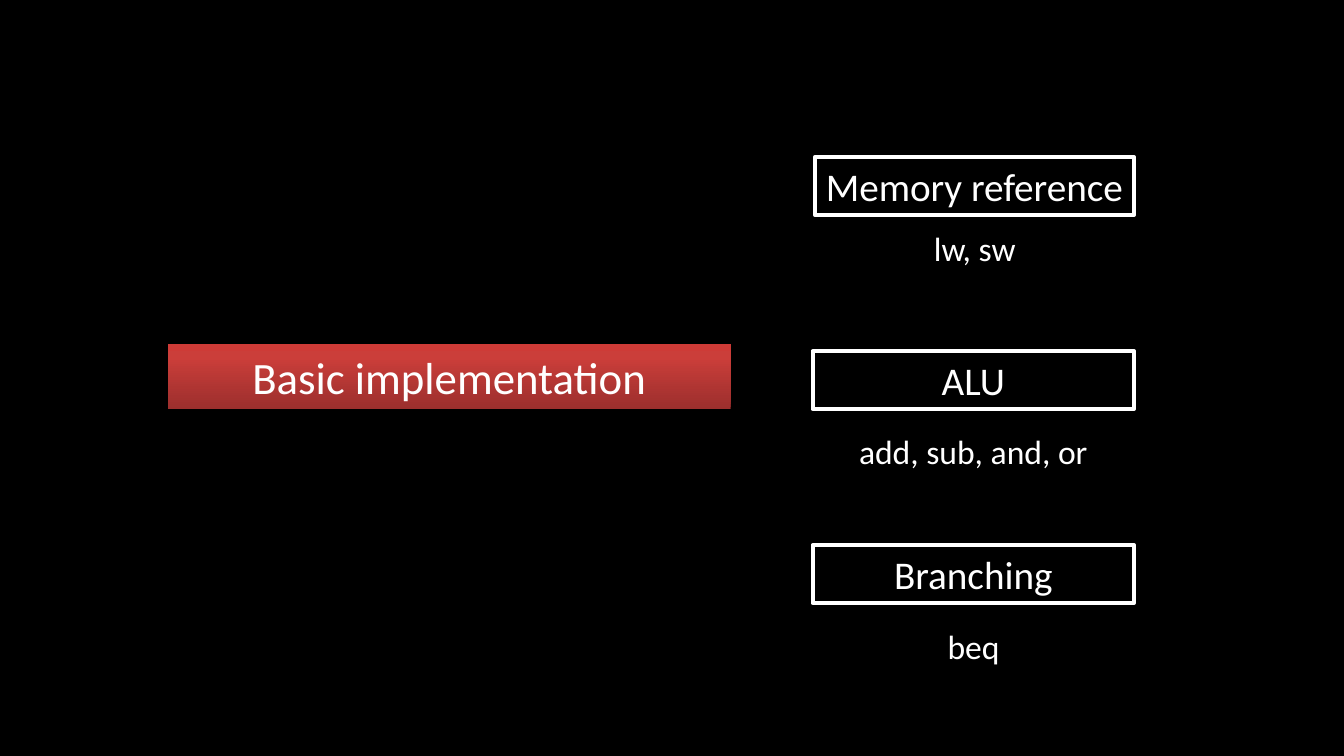
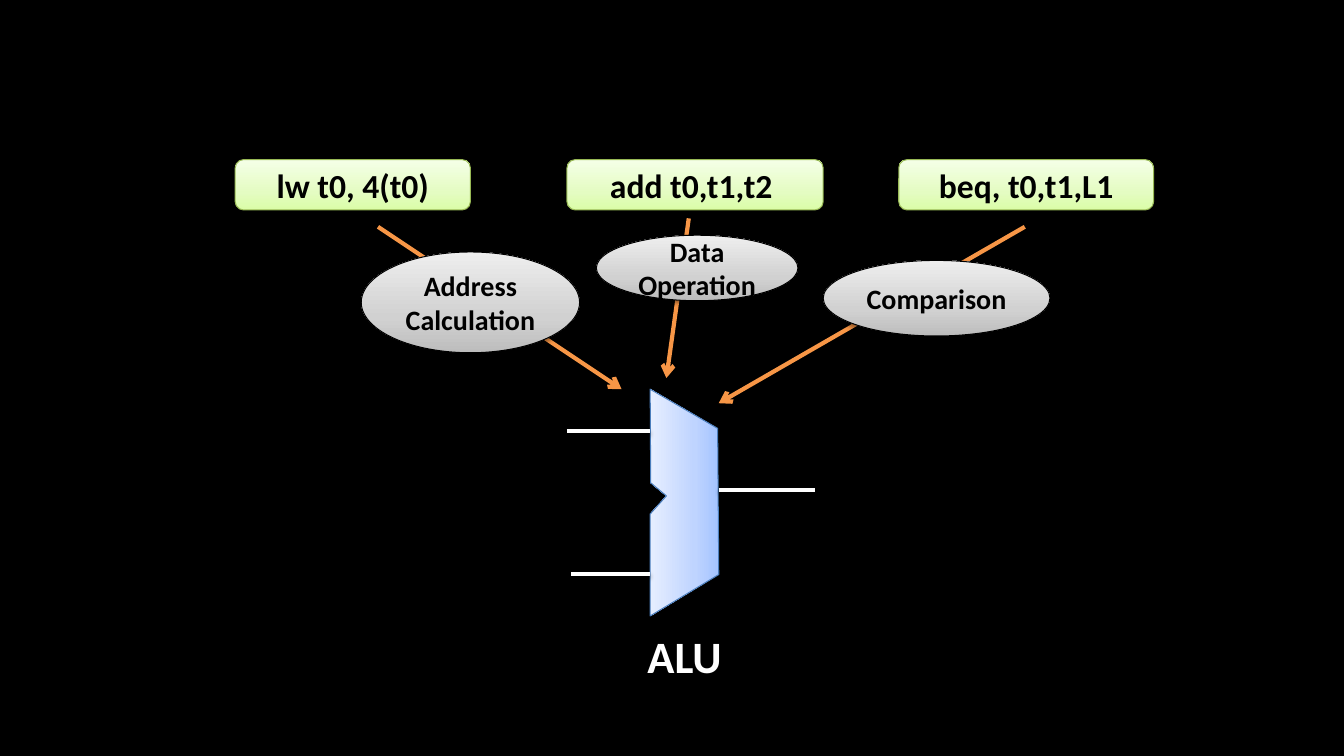
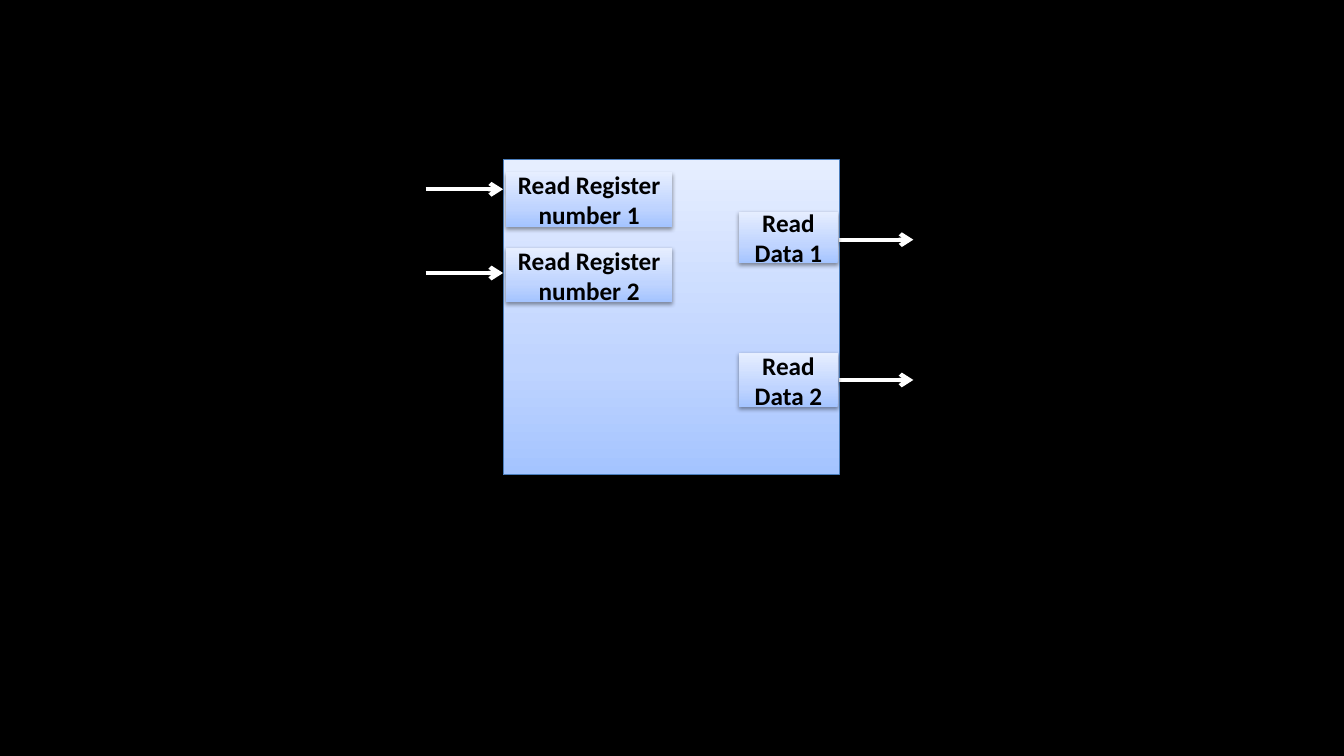
from dataclasses import dataclass, field

from lxml import etree
from pptx import Presentation
from pptx.dml.color import RGBColor
from pptx.enum.shapes import MSO_CONNECTOR, MSO_SHAPE
from pptx.enum.text import MSO_ANCHOR, MSO_AUTO_SIZE, PP_ALIGN
from pptx.oxml.ns import qn
from pptx.shapes.base import BaseShape
from pptx.slide import Slide
from pptx.util import Pt

RECT = MSO_SHAPE.RECTANGLE
ROUND = MSO_SHAPE.ROUNDED_RECTANGLE
OVAL = MSO_SHAPE.OVAL
STRAIGHT = MSO_CONNECTOR.STRAIGHT
TOP, MIDDLE = MSO_ANCHOR.TOP, MSO_ANCHOR.MIDDLE
GROW, FIXED = MSO_AUTO_SIZE.SHAPE_TO_FIT_TEXT, MSO_AUTO_SIZE.NONE
CENTER, RIGHT = PP_ALIGN.CENTER, PP_ALIGN.RIGHT

Spot = tuple[float, float]
Area = tuple[float, float, float, float]  # left, top, width, height


@dataclass(frozen=True)
class Paint:
    """Fill stops (percent, colour) and edge; one stop is a solid fill."""
    stops: tuple[tuple[int, str], ...]
    edge: str = ""
    width: float = 0.75
    angle: int = 270


@dataclass(frozen=True)
class Theme:
    """Colours, paints and type sizes of the deck."""
    font: str = "Calibri"
    black: str = "000000"
    white: str = "FFFFFF"
    orange: str = "F79646"
    head: int = 32
    label: int = 28
    body: int = 24
    note: int = 20
    small: int = 18
    stroke: float = 3
    red: Paint = Paint(((0, "9C2F2D"), (80, "CB3E3A"), (100, "CE3B37")))
    frame: Paint = Paint(((0, "000000"),), "FFFFFF", 3)
    green: Paint = Paint(((0, "DAFDA7"), (35, "E4FCC2"), (100, "F5FFE7")), "98B955")
    gray: Paint = Paint(((0, "BDBDBD"), (35, "D1D1D1"), (100, "EEEEEE")), "000000")
    blue: tuple[tuple[int, str], ...] = ((0, "A4C4FF"), (35, "BFD4FF"), (100, "E6EEFF"))
    rim: str = "4B7EBC"


THEME = Theme()


@dataclass(frozen=True)
class Node:
    """A painted preset shape, with text if it has any."""
    area: Area
    paint: Paint
    text: str = ""
    kind: MSO_SHAPE = RECT
    style: dict = field(default_factory=dict)


@dataclass(frozen=True)
class Wire:
    """A straight line, with an arrowhead at its end if asked."""
    start: Spot
    end: Spot
    color: str = THEME.white
    arrow: bool = True


def add_shade(shape: BaseShape, alpha: int, drop: float) -> None:
    """Give a shape a soft shadow straight below it."""
    props = shape.element.spPr
    effects = props.find(qn("a:effectLst"))
    if effects is None:
        effects = etree.SubElement(props, qn("a:effectLst"))
    shade = etree.SubElement(effects, qn("a:outerShdw"), blurRad=str(Pt(3.1)),
                             dist=str(Pt(drop)), dir="5400000", rotWithShape="0")
    color = etree.SubElement(shade, qn("a:srgbClr"), val=THEME.black)
    etree.SubElement(color, qn("a:alpha"), val=str(alpha * 1000))


def apply_paint(shape: BaseShape, paint: Paint) -> None:
    """Set the fill, edge and shadow of a shape."""
    if len(paint.stops) == 1:
        shape.fill.solid()
        shape.fill.fore_color.rgb = RGBColor.from_string(paint.stops[0][1])
    else:
        shape.fill.gradient()
        grad = shape.element.spPr.find(qn("a:gradFill"))
        stops = grad.find(qn("a:gsLst"))
        for old in list(stops):
            stops.remove(old)
        for place, color in paint.stops:
            stop = etree.SubElement(stops, qn("a:gs"), pos=str(place * 1000))
            etree.SubElement(stop, qn("a:srgbClr"), val=color)
        grad.find(qn("a:lin")).set("ang", str(paint.angle * 60000))
    if paint.edge:
        shape.line.color.rgb = RGBColor.from_string(paint.edge)
        shape.line.width = Pt(paint.width)
    else:
        shape.line.fill.background()
    shape.shadow.inherit = False
    add_shade(shape, 38, 1.6)


def set_text(shape: BaseShape, text: str, *, size: int = THEME.body,
             color: str = THEME.black, bold: bool = True, align: PP_ALIGN = CENTER,
             anchor: MSO_ANCHOR = MIDDLE, fit: MSO_AUTO_SIZE = FIXED,
             wrap: bool = True) -> None:
    """Write one formatted paragraph into a shape."""
    frame = shape.text_frame
    frame.auto_size, frame.word_wrap, frame.vertical_anchor = fit, wrap, anchor
    line = frame.paragraphs[0]
    line.alignment = align
    run = line.add_run()
    run.text = text
    run.font.name, run.font.size, run.font.bold = THEME.font, Pt(size), bold
    run.font.color.rgb = RGBColor.from_string(color)


def add_node(slide: Slide, node: Node) -> None:
    """Draw a node."""
    shape = slide.shapes.add_shape(node.kind, *map(Pt, node.area))
    apply_paint(shape, node.paint)
    if node.text:
        set_text(shape, node.text, **node.style)


def add_label(slide: Slide, area: Area, text: str, **style) -> None:
    """Draw white free text on one line."""
    box = slide.shapes.add_textbox(*map(Pt, area))
    set_text(box, text, color=THEME.white, anchor=TOP, fit=GROW, wrap=False, **style)


def add_wire(slide: Slide, wire: Wire) -> None:
    """Draw a wire."""
    line = slide.shapes.add_connector(STRAIGHT, *map(Pt, wire.start + wire.end))
    line.line.color.rgb = RGBColor.from_string(wire.color)
    line.line.width = Pt(THEME.stroke)
    if wire.arrow:
        stroke = line.element.spPr.find(qn("a:ln"))
        etree.SubElement(stroke, qn("a:tailEnd"), type="arrow")
    add_shade(line, 35, 1.8)


def add_outline(slide: Slide, spots: list[Spot], paint: Paint) -> None:
    """Draw a closed outline through the given spots."""
    first, *rest = [(Pt(x), Pt(y)) for x, y in spots]
    pen = slide.shapes.build_freeform(*first)
    pen.add_line_segments(rest, close=True)
    apply_paint(pen.convert_to_shape(), paint)


def draw_groups(slide: Slide) -> None:
    """Slide 1: the three instruction groups."""
    plain = dict(color=THEME.white, bold=False, anchor=TOP, fit=GROW)
    add_node(slide, Node((120, 246, 402, 46), THEME.red, "Basic implementation",
                         style=dict(plain, size=THEME.head)))
    edge, first, pitch = 810, 112.3, 138.6
    groups = [("Memory reference", 228, "lw, sw", 659.5, 159, 73.5),
              ("ALU", 229.5, "add, sub, and, or", 605.5, 304.5, 179.5),
              ("Branching", 229.5, "beq", 669.5, 443.5, 52)]
    for row, (name, width, codes, left, top, span) in enumerate(groups):
        area = (edge - width, first + row * pitch, width, 41.2)
        add_node(slide, Node(area, THEME.frame, name,
                             style=dict(plain, size=THEME.label)))
        add_label(slide, (left, top, span, 36), codes, bold=False)


def draw_unit(slide: Slide) -> None:
    """Slide 2: what each instruction asks of the ALU."""
    outline = [(464.4, 440), (513.4, 410.4), (512.6, 306), (464.4, 278),
               (464.8, 344.9), (476, 354.2), (464.4, 367.2)]
    add_outline(slide, outline, Paint(THEME.blue, THEME.rim, angle=180))
    codes = [("lw t0, 4(t0)", 168), ("add t0,t1,t2 ", 183), ("beq, t0,t1,L1", 182)]
    for col, (code, width) in enumerate(codes):
        add_node(slide, Node((168 + col * 237, 114, width, 36), THEME.green, code, ROUND))
    ports = [((405, 308), (464.4, 308)), ((408, 410), (464.4, 410)),
             ((513.4, 350), (582, 350))]
    for start, end in ports:
        add_wire(slide, Wire(start, end, arrow=False))
    add_label(slide, (455, 445.7, 67.7, 46), "ALU", size=THEME.head, align=RIGHT)
    uses = [((270, 162), (444, 278)), ((492, 156), (476, 270)), ((732, 162), (513.4, 288))]
    for start, end in uses:
        add_wire(slide, Wire(start, end, THEME.orange))
    tasks = [("Address Calculation", (258, 180, 156, 72)),
             ("Data Operation", (426, 168, 144, 46.8)),
             ("Comparison", (588, 186, 162, 54))]
    for task, area in tasks:
        add_node(slide, Node(area, THEME.gray, task, OVAL, dict(size=THEME.note)))


def draw_file(slide: Slide) -> None:
    """Slide 3: the register file and its ports."""
    add_node(slide, Node((359.4, 114, 240, 225), Paint(THEME.blue, THEME.rim)))
    for left, right, levels in ((304, 359.4, (135.2, 195)), (599.6, 652.4, (171.2, 271.4))):
        for level in levels:
            add_wire(slide, Wire((left, level), (right, level)))
    ports = [("Read Register number 1", (361.4, 123, 119, 39)),
             ("Read Data 1", (528, 151.2, 70.4, 37)),
             ("Read Data 2", (528, 252, 70.4, 39)),
             ("Read Register number 2", (361.4, 177, 119, 39))]
    for name, area in ports:
        add_node(slide, Node(area, Paint(THEME.blue), name, style=dict(size=THEME.small)))


def main() -> None:
    """Build and save the deck."""
    deck = Presentation()
    deck.slide_width, deck.slide_height = Pt(960), Pt(540)
    ground = deck.slide_master.background.fill
    ground.solid()
    ground.fore_color.rgb = RGBColor.from_string(THEME.black)
    blank = deck.slide_layouts[6]
    for draw in (draw_groups, draw_unit, draw_file):
        draw(deck.slides.add_slide(blank))
    deck.save("out.pptx")


main()
